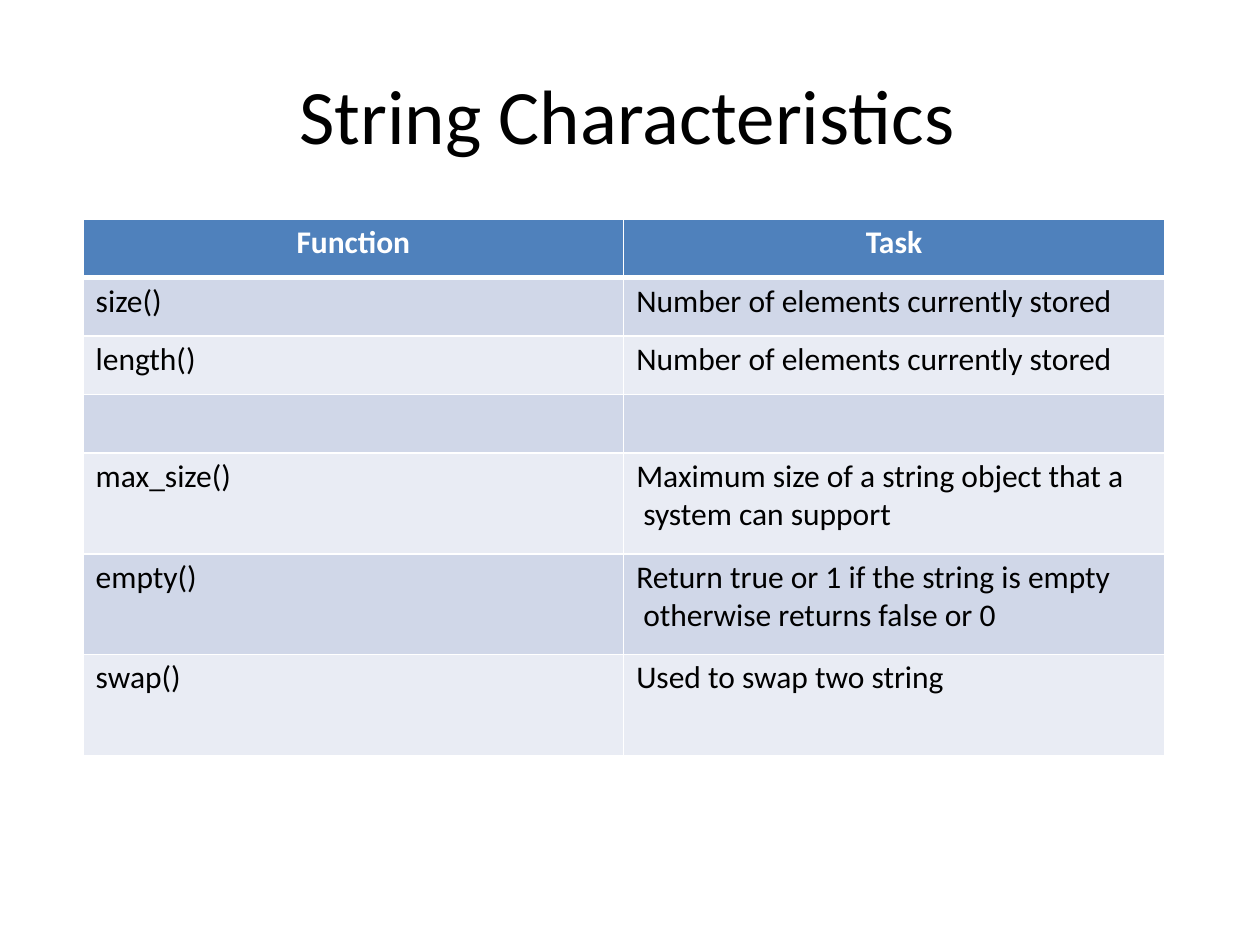
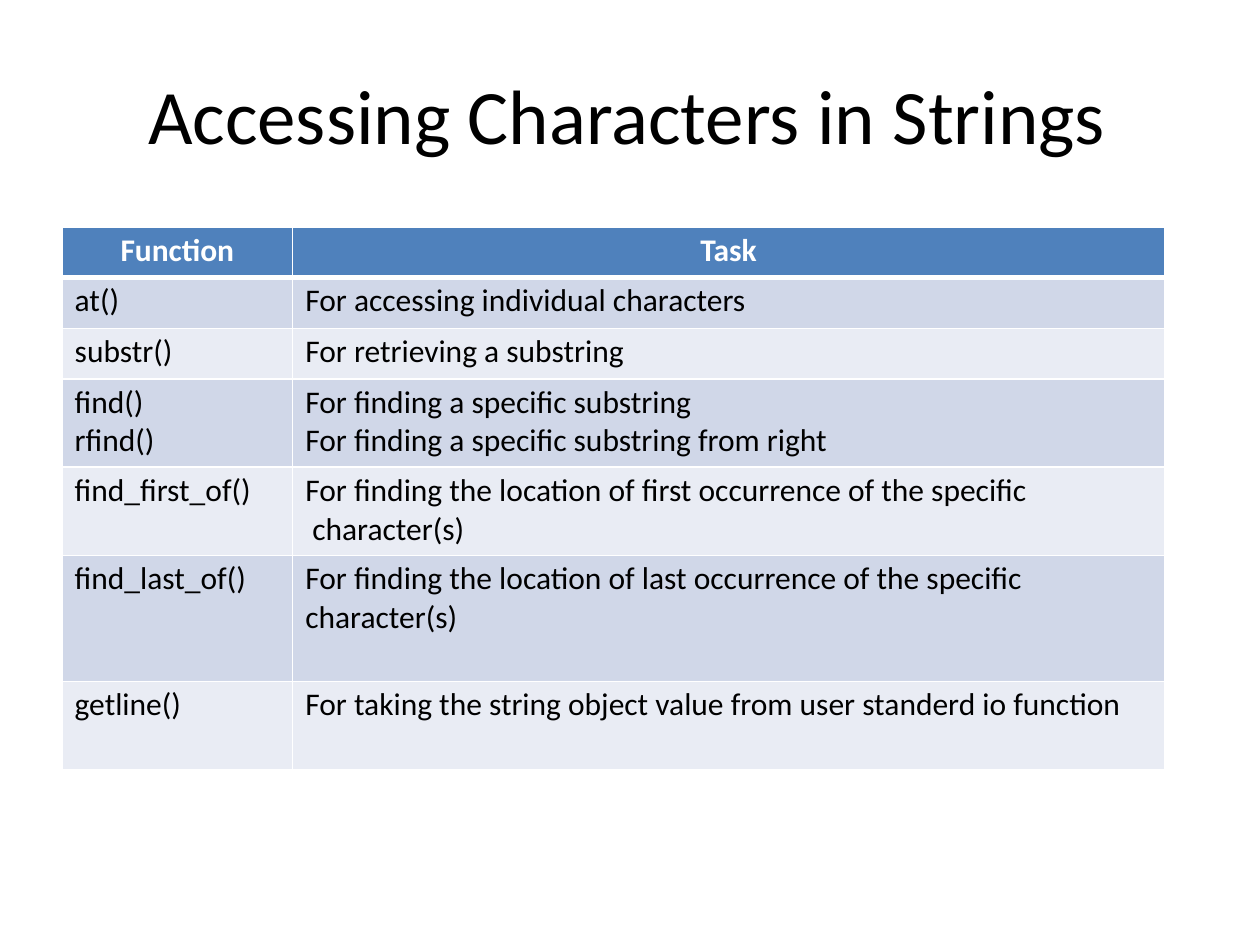
from dataclasses import dataclass
from lxml.etree import SubElement
from pptx import Presentation
from pptx.dml.color import RGBColor
from pptx.enum.text import MSO_ANCHOR, PP_ALIGN
from pptx.oxml.ns import qn
from pptx.util import Pt

# Content: "\n" parts the paragraphs of a cell
HEAD = ("Function", "Task")
SLIDES = [
    dict(
        title="String Characteristics", width=382,
        left=47.5, top=125.3, cols=(308.9, 308.9),
        rows=[
            (33.4, *HEAD),
            (33.4, "size()", "Number of elements currently stored"),
            (33.4, "length()", "Number of elements currently stored"),
            (33.4, "", ""),
            (57.6, "max_size()",
             "Maximum size of a string object that a system can support"),
            (57.6, "empty()",
             "Return true or 1 if the string is empty otherwise returns false or 0"),
            (57.6, "swap()", "Used to swap two string"),
        ],
    ),
    dict(
        title="Accessing Characters in Strings", width=554,
        left=35.5, top=129.6, cols=(131.8, 498.2),
        rows=[
            (29, *HEAD),
            (29, "at()", "For accessing individual characters"),
            (29, "substr()", "For retrieving a substring"),
            (50.4, "find()\nrfind()",
             "For finding a specific substring\n"
             "For finding a specific substring from right"),
            (50.4, "find_first_of()",
             "For finding the location of first occurrence of the specific character(s)"),
            (72, "find_last_of()",
             "For finding the location of last occurrence of the specific\ncharacter(s)"),
            (50.4, "getline()",
             "For taking the string object value from user standerd io function"),
        ],
    ),
]


@dataclass(frozen=True)
class Theme:
    font: str = "Calibri"
    big: int = 44
    small: int = 18
    ink: str = "000000"
    white: str = "FFFFFF"
    head: str = "4F81BC"
    bands: tuple = ("E9ECF4", "D0D7E8")
    pad: float = 7.2
    hang: int = 4
    mid: float = 358.5


T = Theme()


def style(para, size, color, bold=False, align=PP_ALIGN.LEFT):
    para.alignment = align
    font = para.font
    font.name, font.size, font.bold = T.font, Pt(size), bold
    font.color.rgb = RGBColor.from_string(color)


def edge(cell, side, width):
    line = SubElement(cell._tc.get_or_add_tcPr(), qn("a:ln" + side), w=str(Pt(width)))
    fill = SubElement(line, qn("a:solidFill"))
    SubElement(fill, qn("a:srgbClr"), val=T.white)


def add_title(slide, text, width):
    box = slide.shapes.add_textbox(Pt(T.mid - width / 2), Pt(36.7), Pt(width), Pt(54.7))
    frame = box.text_frame
    frame.word_wrap = True
    frame.margin_left = frame.margin_right = frame.margin_bottom = 0
    frame.margin_top = Pt(2)
    frame.text = text
    style(frame.paragraphs[0], T.big, T.ink, align=PP_ALIGN.CENTER)


def fill_cell(cell, text, row):
    # Borders: a heavy rule under the header
    for side, heavy in (("L", None), ("R", None), ("T", 1), ("B", 0)):
        edge(cell, side, 3 if row == heavy else 1)
    cell.fill.solid()
    cell.fill.fore_color.rgb = RGBColor.from_string(T.bands[row % 2] if row else T.head)
    cell.vertical_anchor = MSO_ANCHOR.TOP
    cell.margin_left = Pt(T.pad if row else 0)
    cell.margin_right = cell.margin_bottom = 0
    cell.margin_top = Pt(2.5)

    # Text: wrapped lines hang slightly to the right
    cell.text = text
    for para in cell.text_frame.paragraphs:
        if row:
            props = para._p.get_or_add_pPr()
            props.set("marL", str(Pt(T.hang)))
            props.set("indent", str(-Pt(T.hang)))
            style(para, T.small, T.ink)
        else:
            style(para, T.small, T.white, True, PP_ALIGN.CENTER)


def add_grid(slide, left, top, cols, rows):
    high = sum(row[0] for row in rows)
    table = slide.shapes.add_table(
        len(rows), len(cols), Pt(left), Pt(top), Pt(sum(cols)), Pt(high)).table
    table.first_row = table.horz_banding = False
    for col, width in zip(table.columns, cols):
        col.width = Pt(width)
    for r, (height, *texts) in enumerate(rows):
        table.rows[r].height = Pt(height)
        for c, text in enumerate(texts):
            fill_cell(table.cell(r, c), text, r)


def main():
    deck = Presentation()
    deck.slide_width, deck.slide_height = Pt(720), Pt(540)
    for data in SLIDES:
        slide = deck.slides.add_slide(deck.slide_layouts[6])
        add_title(slide, data["title"], data["width"])
        add_grid(slide, data["left"], data["top"], data["cols"], data["rows"])
    deck.save("out.pptx")


if __name__ == "__main__":
    main()
